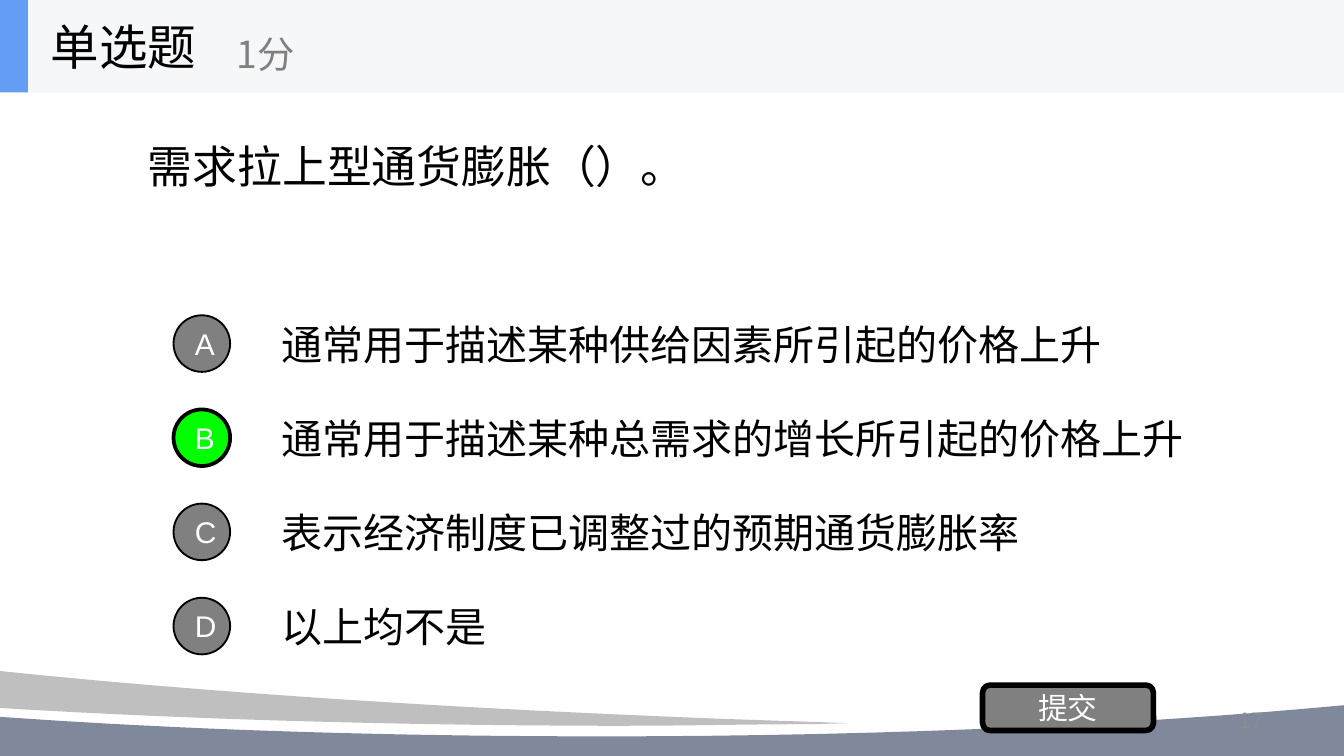
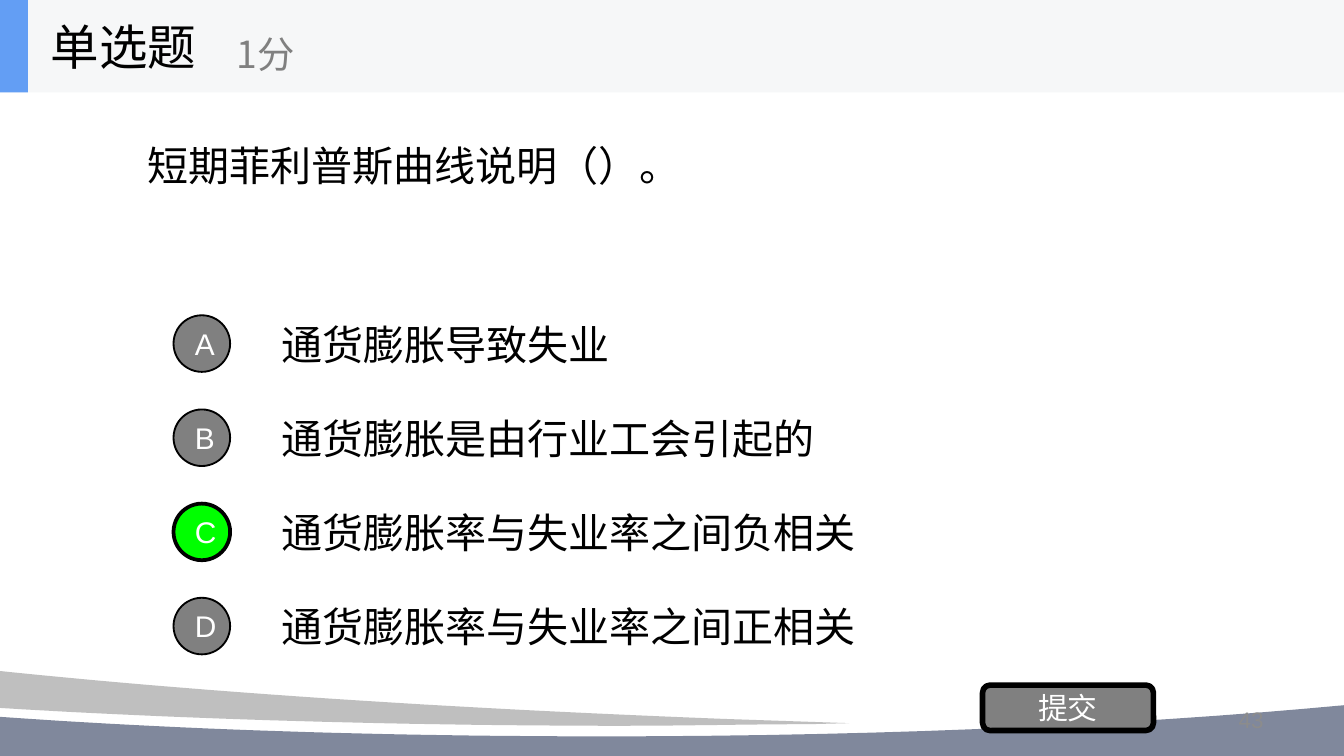
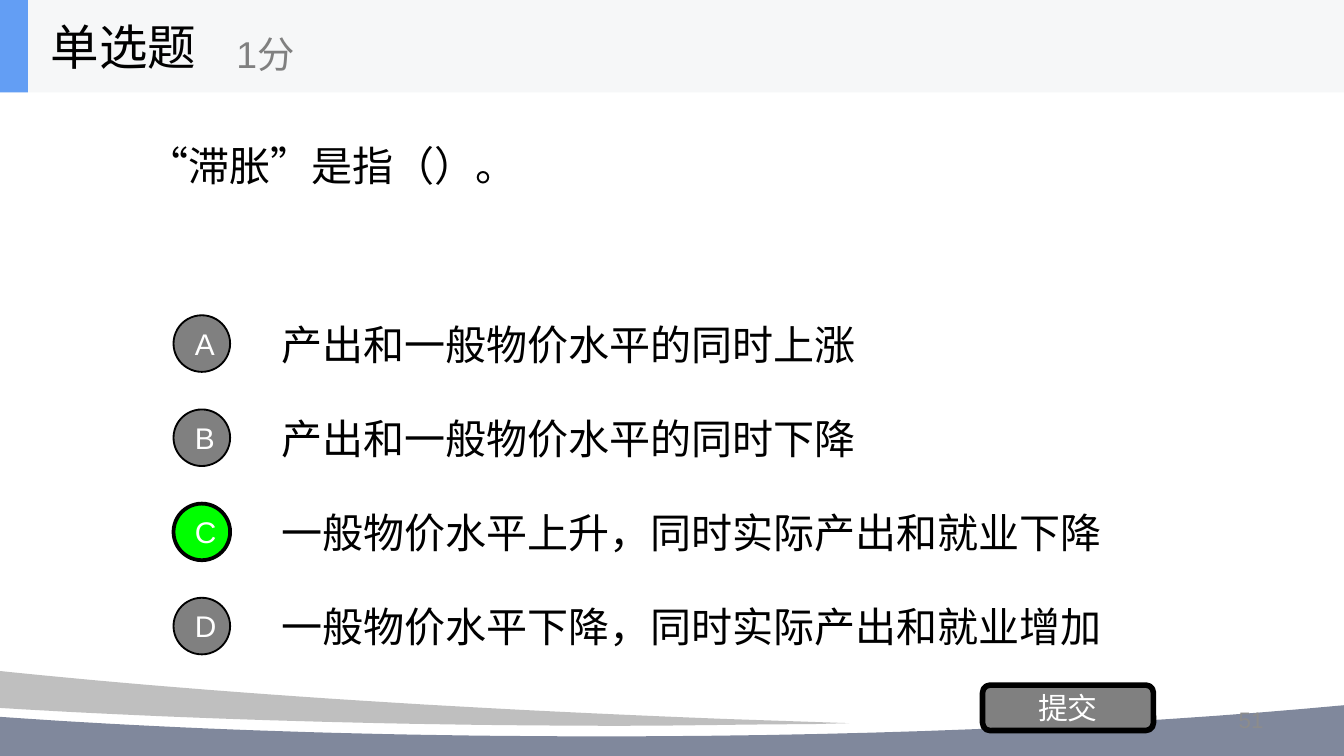
from lxml.etree import SubElement
from pptx import Presentation
from pptx.dml.color import RGBColor
from pptx.enum.shapes import MSO_SHAPE
from pptx.enum.text import MSO_ANCHOR, MSO_AUTO_SIZE, PP_ALIGN
from pptx.oxml.ns import qn
from pptx.util import Cm, Pt

BLACK = RGBColor(0x00, 0x00, 0x00)
WHITE = RGBColor(0xFF, 0xFF, 0xFF)
GRAY = RGBColor(0x80, 0x80, 0x80)
GREEN = RGBColor(0x00, 0xFF, 0x00)
NUMBER_GRAY = RGBColor(0x8C, 0x8C, 0x8C)
BAND = RGBColor(0xF6, 0xF7, 0xF8)
ACCENT = RGBColor(0x63, 0x9E, 0xF4)
WAVE_BLUE = RGBColor(0x80, 0x88, 0x9C)
WAVE_GRAY = RGBColor(0xBF, 0xBF, 0xBF)
LATIN_FONT = "Arial"
CHINESE_FONT = "Noto Sans CJK SC"

QUESTIONS = [
    {
        "number": "17", "question": "需求拉上型通货膨胀（）。", "size": 24,
        "answer": "B", "score_font": CHINESE_FONT,
        "options": [
            "通常用于描述某种供给因素所引起的价格上升",
            "通常用于描述某种总需求的增长所引起的价格上升",
            "表示经济制度已调整过的预期通货膨胀率",
            "以上均不是",
        ],
    },
    {
        "number": "43", "question": "短期菲利普斯曲线说明（）。", "size": 22,
        "answer": "C", "score_font": CHINESE_FONT,
        "options": [
            "通货膨胀导致失业",
            "通货膨胀是由行业工会引起的",
            "通货膨胀率与失业率之间负相关",
            "通货膨胀率与失业率之间正相关",
        ],
    },
    {
        "number": "51", "question": "“滞胀”是指（）。", "size": 22,
        "answer": "C", "score_font": LATIN_FONT,
        "options": [
            "产出和一般物价水平的同时上涨",
            "产出和一般物价水平的同时下降",
            "一般物价水平上升，同时实际产出和就业下降",
            "一般物价水平下降，同时实际产出和就业增加",
        ],
    },
]

# Each step holds one point for a straight side, three for a curve.
WAVES = [
    (WAVE_BLUE, (31.75, 12.45), [
        [(31.75, 14.29)], [(-2.11, 14.29)], [(-2.11, 13.39)], [(-0.15, 13.54)],
        [(3.28, 13.79), (7.21, 13.92), (11.4, 13.92)],
        [(19.79, 13.92), (27.15, 13.36), (31.52, 12.5)],
    ]),
    (WAVE_GRAY, (-2.11, 12.45), [
        [(-0.33, 12.65)],
        [(3.71, 13.08), (8.46, 13.39), (13.69, 13.59)],
        [(16.05, 13.67)], [(15.27, 13.69)],
        [(14.15, 13.69), (12.98, 13.72), (11.79, 13.72)],
        [(7.04, 13.72), (2.74, 13.56), (-0.36, 13.36)],
        [(-2.11, 13.21)],
    ]),
]

SLIDE_WIDTH, SLIDE_HEIGHT = 25.4, 14.29
BAND_HEIGHT = 1.75
OPTION_TOP, OPTION_HEIGHT, OPTION_PITCH = 5.82, 1.35, 1.78
CIRCLE = 1.07
CURVE_STEPS = 24


def write(shape, text, size, color=BLACK, align=PP_ALIGN.LEFT, font=LATIN_FONT):
    frame = shape.text_frame
    frame.text = text
    frame.word_wrap = True
    frame.auto_size = MSO_AUTO_SIZE.NONE
    frame.vertical_anchor = MSO_ANCHOR.MIDDLE
    para = frame.paragraphs[0]
    para.alignment = align
    para.font.name = font
    para.font.size = Pt(size)
    para.font.color.rgb = color
    properties = para._p.pPr.find(qn("a:defRPr"))
    SubElement(properties, qn("a:ea"), typeface=CHINESE_FONT)


def paint(shape, fill, line_width=0):
    shape.shadow.inherit = False
    shape.fill.solid()
    shape.fill.fore_color.rgb = fill
    if line_width:
        shape.line.color.rgb = BLACK
        shape.line.width = Pt(line_width)
    else:
        shape.line.fill.background()


def add_text(shapes, place, text, size, **style):
    box = shapes.add_textbox(*map(Cm, place))
    write(box, text, size, **style)


def add_block(shapes, kind, place, fill, line_width=0):
    block = shapes.add_shape(kind, *map(Cm, place))
    paint(block, fill, line_width)
    return block


def curve_points(start, first, second, end):
    for step in range(1, CURVE_STEPS + 1):
        t = step / CURVE_STEPS
        weights = ((1 - t) ** 3, 3 * t * (1 - t) ** 2, 3 * t * t * (1 - t), t ** 3)
        corners = (start, first, second, end)
        yield tuple(sum(w * p[axis] for w, p in zip(weights, corners)) for axis in (0, 1))


def add_waves(page):
    for color, start, steps in WAVES:
        points = [start]
        for step in steps:
            points.extend(step if len(step) == 1 else list(curve_points(points[-1], *step)))
        outline = [(Cm(x), Cm(y)) for x, y in points]
        builder = page.shapes.build_freeform(*outline[0])
        builder.add_line_segments(outline[1:], close=True)
        paint(builder.convert_to_shape(), color)


def add_header(page, score_font):
    shapes = page.shapes.add_group_shape().shapes
    add_block(shapes, MSO_SHAPE.RECTANGLE, (0, 0, SLIDE_WIDTH, BAND_HEIGHT), BAND)
    add_block(shapes, MSO_SHAPE.RECTANGLE, (0, 0, 0.53, BAND_HEIGHT), ACCENT)
    add_text(shapes, (0.71, 0, 5.28, BAND_HEIGHT), "单选题", 26)
    add_text(shapes, (4.22, 0.3, 6.35, 1.42), "1分", 20, color=GRAY, font=score_font)


def add_options(page, options, answer):
    for row, (letter, option) in enumerate(zip("ABCD", options)):
        top = OPTION_TOP + row * OPTION_PITCH
        add_text(page.shapes, (5.08, top, 17.78, OPTION_HEIGHT), option, 22)
        fill, line_width = (GREEN, 2) if letter == answer else (GRAY, 1)
        circle_top = top + (OPTION_HEIGHT - CIRCLE) / 2
        circle = add_block(page.shapes, MSO_SHAPE.OVAL,
                           (3.28, circle_top, CIRCLE, CIRCLE), fill, line_width)
        write(circle, letter, 16, WHITE, PP_ALIGN.CENTER)


def add_question(deck, item):
    page = deck.slides.add_slide(deck.slide_layouts[5])
    add_waves(page)
    add_text(page.shapes, (18.21, 13.23, 5.92, 0.76), item["number"], 12,
             color=NUMBER_GRAY, align=PP_ALIGN.RIGHT)
    title = page.shapes.title
    title.left, title.top, title.width, title.height = map(Cm, (2.54, 0.89, 20.32, 4.47))
    write(title, item["question"], item["size"])
    add_options(page, item["options"], item["answer"])
    button = add_block(page.shapes, MSO_SHAPE.ROUNDED_RECTANGLE,
                       (18.57, 12.95, 3.23, 0.86), GRAY, 3)
    write(button, "提交", 16, WHITE, PP_ALIGN.CENTER)
    add_header(page, item["score_font"])


def main():
    deck = Presentation()
    deck.slide_width, deck.slide_height = Cm(SLIDE_WIDTH), Cm(SLIDE_HEIGHT)
    for item in QUESTIONS:
        add_question(deck, item)
    deck.save("out.pptx")


if __name__ == "__main__":
    main()
